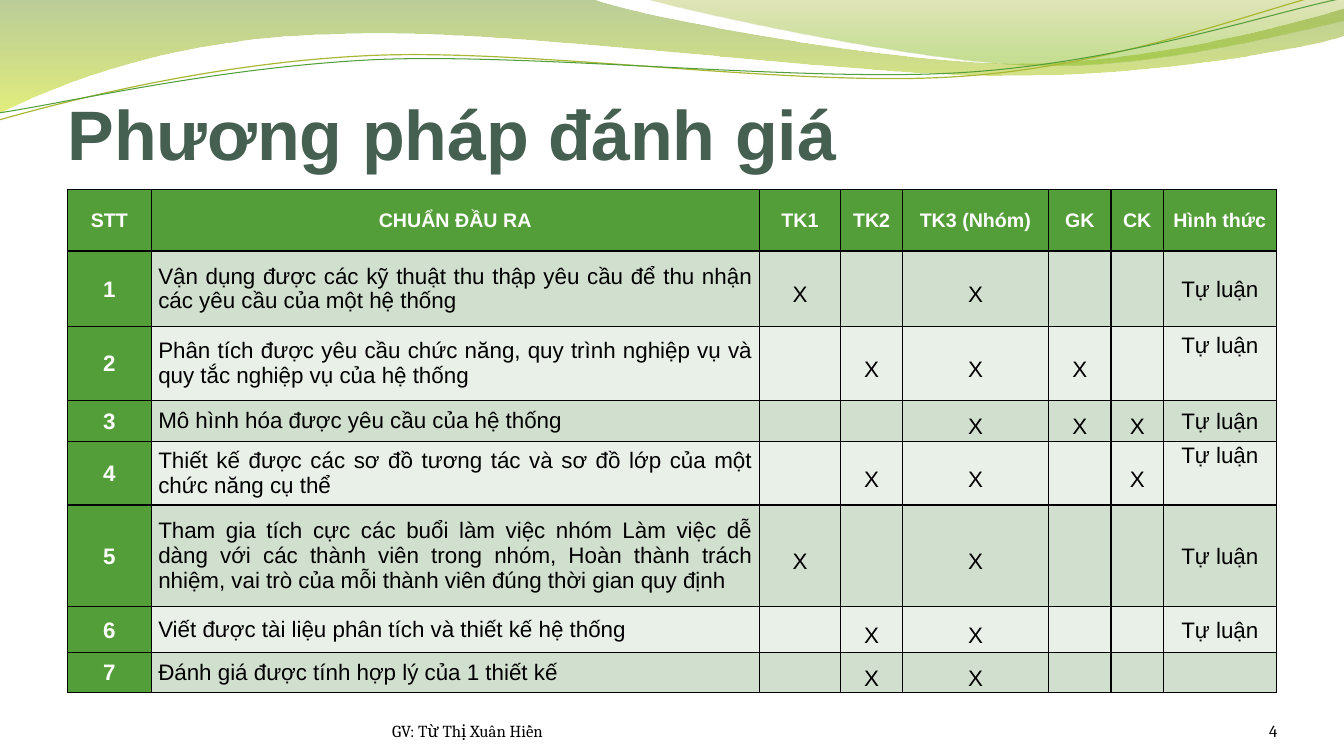
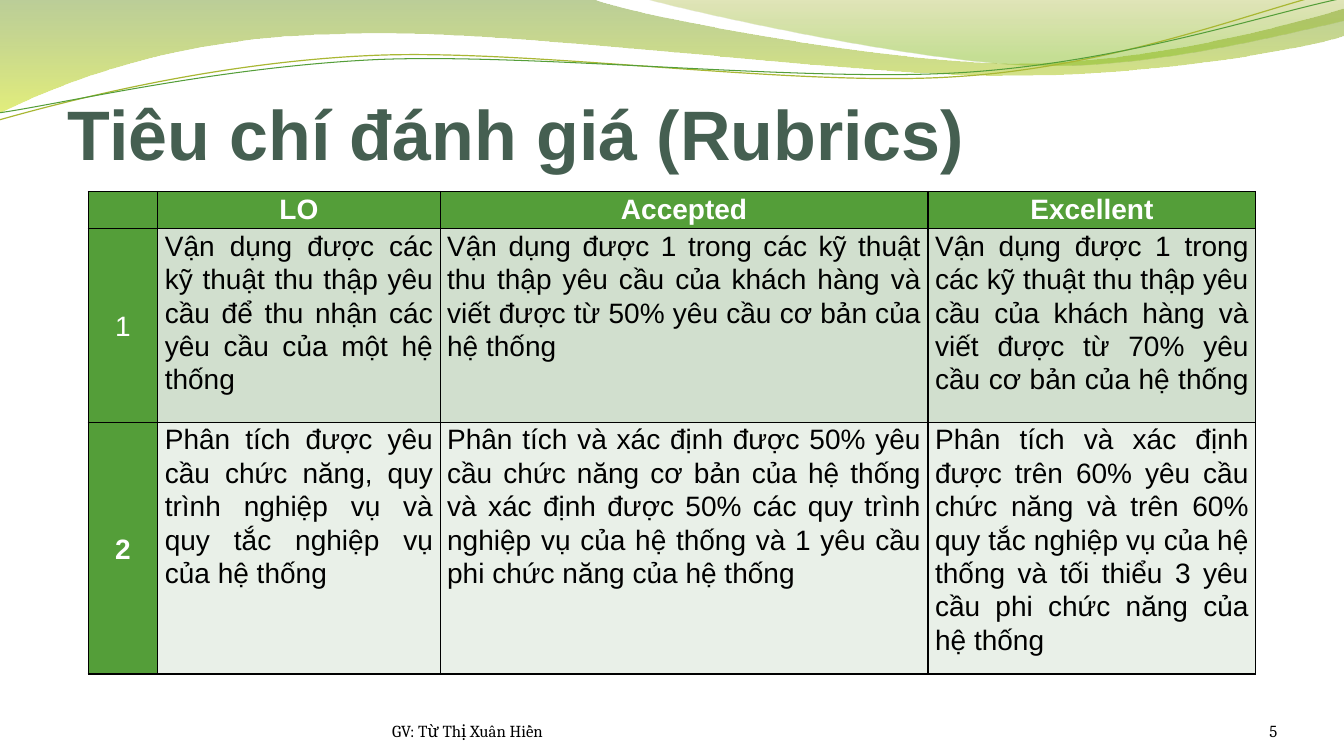
from pptx import Presentation
from pptx.dml.color import RGBColor
from pptx.enum.text import MSO_ANCHOR, PP_ALIGN
from pptx.oxml import parse_xml
from pptx.oxml.ns import nsdecls, qn
from pptx.util import Inches, Pt

LEFT, CENTER, RIGHT, JUSTIFY = PP_ALIGN.LEFT, PP_ALIGN.CENTER, PP_ALIGN.RIGHT, PP_ALIGN.JUSTIFY
TOP, MIDDLE, BOTTOM = MSO_ANCHOR.TOP, MSO_ANCHOR.MIDDLE, MSO_ANCHOR.BOTTOM

COLORS = {"title": "455F51", "green": "549E39", "olive": "A9B733", "odd": "D1DFCE",
          "even": "E9F0E8", "white": "FFFFFF", "black": "000000"}
W, H = 13.33, 7.5
MARGIN = 0.67
FOOTER = "GV: Từ Thị Xuân Hiền"

WAVES = [
    {"outline": [(0, 0), (5.87, -0.01), (6.34, 0.17, 8.84, 0.63, 10.11, 0.63),
                 (11.37, 0.63, 12.77, 0.26, 13.33, 0.09), (13.34, 0.36),
                 (13.11, 0.44, 11.59, 0.76, 9.94, 0.75), (8.29, 0.75, 5.09, 0.28, 3.43, 0.34),
                 (1.72, 0.36, 0.61, 0.83, -0.02, 1.13), (0, 0)],
     "stops": [(0, "69921C", 45), (1, "CCE10F", 55)]},
    {"outline": [(6.38, -0.01), (6.79, 0.11, 9.09, 0.62, 10.25, 0.65),
                 (11.4, 0.69, 12.82, 0.32, 13.33, 0.21), (13.33, 0), (6.38, -0.01)],
     "stops": [(0, "9BAA1A", 30), (0.8, "81BA16", 45)]},
    {"outline": [(-0.01, 1.19), (0.63, 1.01, 2.1, 0.62, 3.69, 0.55),
                 (5.27, 0.48, 7.89, 0.87, 9.49, 0.76), (11.1, 0.66, 12.51, 0.08, 13.3, -0.1)],
     "line": ("olive", 0.85)},
    {"outline": [(-0.01, 1.12), (0.62, 1.03, 2.18, 0.66, 3.77, 0.59),
                 (5.37, 0.53, 7.96, 0.82, 9.55, 0.72), (11.14, 0.62, 12.55, 0.14, 13.33, -0.02)],
     "line": ("green", 0.75)},
]

METHOD_TITLE = "Phương pháp đánh giá"
METHOD_HEAD = ["STT", "CHUẨN ĐẦU RA", "TK1", "TK2", "TK3 (Nhóm)", "GK", "CK", "Hình thức"]
METHOD_COLS = [0.83, 6.03, 0.81, 0.61, 1.45, 0.62, 0.52, 1.12]
METHOD_HEIGHTS = [0.61, 0.75, 0.73, 0.41, 0.63, 1.01, 0.45, 0.4]
FORM = "Tự luận"
OUTCOMES = [
    ("Vận dụng được các kỹ thuật thu thập yêu cầu để thu nhận các yêu cầu của một hệ thống",
     "X-X--", FORM),
    ("Phân tích được yêu cầu chức năng, quy trình nghiệp vụ và quy tắc nghiệp vụ của hệ thống",
     "-XXX-", FORM),
    ("Mô hình hóa được yêu cầu của hệ thống", "--XXX", FORM),
    ("Thiết kế được các sơ đồ tương tác và sơ đồ lớp của một chức năng cụ thể", "-XX-X", FORM),
    ("Tham gia tích cực các buổi làm việc nhóm Làm việc dễ dàng với các thành viên trong nhóm, "
     "Hoàn thành trách nhiệm, vai trò của mỗi thành viên đúng thời gian quy định", "X-X--", FORM),
    ("Viết được tài liệu phân tích và thiết kế hệ thống", "-XX--", FORM),
    ("Đánh giá được tính hợp lý của 1 thiết kế", "-XX--", ""),
]
RAISED_ROWS = (2, 4)
RAISED_BLOCK = 0.63

RUBRIC_TITLE = "Tiêu chí đánh giá (Rubrics)"
RUBRIC_HEAD = ["", "LO", "Accepted", "Excellent"]
RUBRIC_COLS = [0.69, 2.8, 4.84, 3.25]
RUBRIC_HEIGHTS = [0.37, 1.92, 2.44]
RUBRICS = [
    (OUTCOMES[0][0],
     "Vận dụng được 1 trong các kỹ thuật thu thập yêu cầu của khách hàng và viết được từ 50% "
     "yêu cầu cơ bản của hệ thống ",
     "Vận dụng được 1 trong các kỹ thuật thu thập yêu cầu của khách hàng và viết được từ 70% "
     "yêu cầu cơ bản của hệ thống "),
    (OUTCOMES[1][0],
     "Phân tích và xác định được 50% yêu cầu chức năng cơ bản của hệ thống và xác định được 50% "
     "các quy trình nghiệp vụ của hệ thống và 1 yêu cầu phi chức năng của hệ thống",
     "Phân tích và xác định được trên 60% yêu cầu chức năng và trên 60% quy tắc nghiệp vụ của "
     "hệ thống và tối thiểu 3 yêu cầu phi chức năng của hệ thống"),
]


def rgb(name):
    return RGBColor.from_string(COLORS.get(name, name))


def write(tf, words, size=16, font="Arial", color="black", bold=False, align=CENTER,
          spacing=None, after=0):
    p = tf.paragraphs[0]
    p.alignment = align
    p.space_after = Pt(after)
    if spacing:
        p.line_spacing = spacing
    r = p.add_run()
    r.text = words
    r.font.size, r.font.name, r.font.bold = Pt(size), font, bold
    r.font.color.rgb = rgb(color)


def add_text(s, box, words, top_inset=0, **fmt):
    tf = s.shapes.add_textbox(*map(Inches, box)).text_frame
    tf.word_wrap = True
    tf.margin_left = tf.margin_right = tf.margin_bottom = 0
    tf.margin_top = Inches(top_inset)
    tf.vertical_anchor = BOTTOM
    write(tf, words, **fmt)


def bend(sp, outline):
    lines = iter(list(sp._element.iter(qn("a:lnTo"))))
    for seg in outline[1:]:
        group = [next(lines) for _ in range(len(seg) // 2)]
        if len(group) == 1:
            continue
        curve = parse_xml(f'<a:cubicBezTo {nsdecls("a")}/>')
        group[0].addprevious(curve)
        for line in group:
            curve.append(line[0])
            line.getparent().remove(line)


def add_wave(s, outline, stops=None, line=None):
    points = [(Inches(seg[k]), Inches(seg[k + 1]))
              for seg in outline for k in range(0, len(seg), 2)]
    builder = s.shapes.build_freeform(*points[0], scale=1.0)
    builder.add_line_segments(points[1:], close=False)
    sp = builder.convert_to_shape()
    bend(sp, outline)
    sp.shadow.inherit = False
    if line:
        sp.fill.background()
        sp.line.color.rgb, sp.line.width = rgb(line[0]), Pt(line[1])
        return
    sp.line.fill.background()
    sp.fill.gradient()
    sp.fill.gradient_angle = 270
    for stop, (position, color, _) in zip(sp.fill.gradient_stops, stops):
        stop.position, stop.color.rgb = position, rgb(color)
    for clr, (_, _, alpha) in zip(sp._element.spPr.iter(qn("a:srgbClr")), stops):
        clr.append(parse_xml(f'<a:alpha {nsdecls("a")} val="{alpha * 1000}"/>'))


def new_slide(prs, title, number):
    s = prs.slides.add_slide(prs.slide_layouts[6])
    for wave in WAVES:
        add_wave(s, **wave)
    add_text(s, (MARGIN, 0.77, 12, 0.96), title, top_inset=0.05, size=50, color="title",
             bold=True, align=LEFT)
    add_text(s, (3.89, 6.95, 4.89, 0.4), FOOTER, size=12, font="Cambria", align=LEFT)
    add_text(s, (11.56, 6.95, 1.11, 0.4), str(number), size=12, font="Cambria", align=RIGHT)
    return s


def add_grid(s, top, cols, heights):
    left = (W - sum(cols)) / 2
    frame = s.shapes.add_table(len(heights), len(cols), Inches(left), Inches(top),
                               Inches(sum(cols)), Inches(sum(heights)))
    table = frame.table
    table.first_row = table.horz_banding = False
    for col, width in zip(table.columns, cols):
        col.width = Inches(width)
    for row, height in zip(table.rows, heights):
        row.height = Inches(height)
    return table


def fill_cell(table, i, j, words, anchor=MIDDLE, top_inset=0, **fmt):
    cell = table.cell(i, j)
    cell.margin_left = cell.margin_right = Inches(0.07)
    cell.margin_top, cell.margin_bottom = Inches(top_inset), 0
    cell.vertical_anchor = anchor
    for side in "LRTB":
        cell._tc.get_or_add_tcPr().append(parse_xml(
            f'<a:ln{side} {nsdecls("a")} w="12700"><a:solidFill>'
            f'<a:srgbClr val="{COLORS["black"]}"/></a:solidFill></a:ln{side}>'))
    cell.fill.solid()
    shade = "green" if i == 0 or j == 0 else "odd" if i % 2 else "even"
    cell.fill.fore_color.rgb = rgb(shade)
    if words:
        write(cell.text_frame, words, **fmt)


def method_slide(prs):
    s = new_slide(prs, METHOD_TITLE, 4)
    table = add_grid(s, 1.88, METHOD_COLS, METHOD_HEIGHTS)
    spaced = {"spacing": 1.07, "after": 8}
    strong = {"color": "white", "bold": True, **spaced}
    last = len(METHOD_COLS) - 1
    for j, words in enumerate(METHOD_HEAD):
        fill_cell(table, 0, j, words, size=14, **strong)
    for i, (outcome, marks, form) in enumerate(OUTCOMES, 1):
        fill_cell(table, i, 0, str(i), **strong)
        fill_cell(table, i, 1, outcome, align=JUSTIFY)
        for j, mark in enumerate(marks, 2):
            fill_cell(table, i, j, mark.strip("-"), spacing=1.5)
        raised = i in RAISED_ROWS
        fill_cell(table, i, last, form, anchor=TOP if raised else MIDDLE,
                  top_inset=(METHOD_HEIGHTS[i] - RAISED_BLOCK) / 2 if raised else 0, **spaced)


def rubric_slide(prs):
    s = new_slide(prs, RUBRIC_TITLE, 5)
    table = add_grid(s, 1.9, RUBRIC_COLS, RUBRIC_HEIGHTS)
    body = {"size": 20, "spacing": 1.07, "after": 4}
    for j, words in enumerate(RUBRIC_HEAD):
        fill_cell(table, 0, j, words, anchor=TOP, color="white", bold=True, **body)
    for i, levels in enumerate(RUBRICS, 1):
        fill_cell(table, i, 0, str(i), color="white", bold=i > 1, **body)
        for j, words in enumerate(levels, 1):
            fill_cell(table, i, j, words, anchor=TOP, align=JUSTIFY, **body)


def main():
    prs = Presentation()
    prs.slide_width, prs.slide_height = Inches(W), Inches(H)
    method_slide(prs)
    rubric_slide(prs)
    prs.save("out.pptx")


if __name__ == "__main__":
    main()
